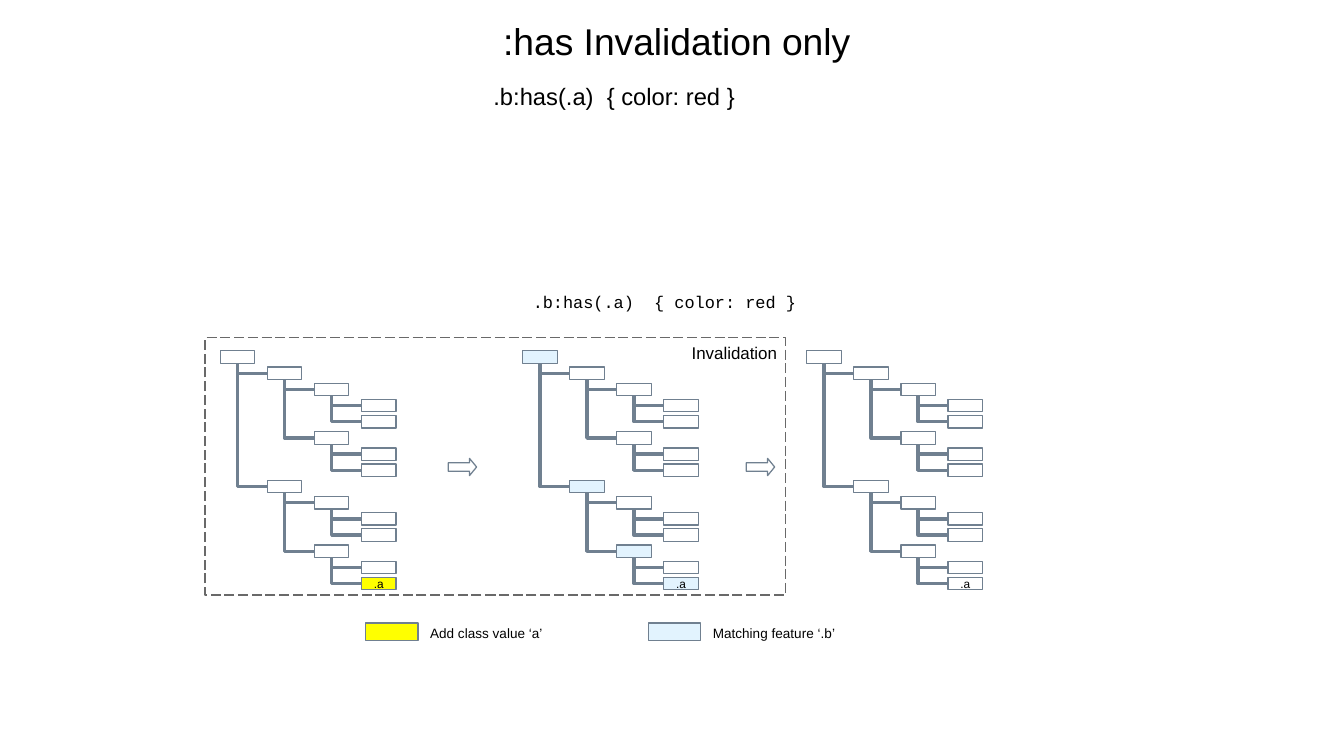
from lxml import etree
from pptx import Presentation
from pptx import util as u
from pptx.dml import color as colors
from pptx.enum import dml, shapes, text
from pptx.oxml import ns

WHITE, BLACK, SLATE, GREY = "FFFFFF", "000000", "708090", "696969"
YELLOW, PALE_BLUE = "FFFF00", "E2F3FE"
RULE = ".b:has(.a)  { color: red }"
# Depth of every tree node, from top to bottom
DEPTHS = [0, 1, 2, 3, 3, 2, 3, 3, 1, 2, 3, 3, 2, 3, 3]
LAST = len(DEPTHS) - 1
NODE_WIDTH, NODE_HEIGHT, INDENT = 0.72, 0.26, 0.98
TREE_TOP, TREE_HEIGHT = 7.31, 4.98
# Left edge of each tree and the fills of its highlighted nodes
TREES = [
    (4.59, {LAST: YELLOW}),
    (10.89, dict.fromkeys([0, 8, 12, LAST], PALE_BLUE)),
    (16.81, {}),
]


def rgb(value):
    return colors.RGBColor.from_string(value)


def set_all(target, values):
    for name, value in values.items():
        setattr(target, name, value)


def write(shape, words, size, align="LEFT", anchor="MIDDLE", font="Arial", wrap=False):
    frame = shape.text_frame
    set_all(frame, {
        "word_wrap": wrap,
        "auto_size": text.MSO_AUTO_SIZE.NONE,
        "vertical_anchor": getattr(text.MSO_ANCHOR, anchor),
        "margin_left": u.Cm(0.25), "margin_right": u.Cm(0.25),
        "margin_top": u.Cm(0.13), "margin_bottom": u.Cm(0.13),
    })
    paragraph = frame.paragraphs[0]
    paragraph.text = words
    paragraph.alignment = getattr(text.PP_ALIGN, align)
    set_all(paragraph.font, {"name": font, "size": u.Pt(size)})
    paragraph.font.color.rgb = rgb(BLACK)


def add_label(slide, box, words, size, **layout):
    label = slide.shapes.add_textbox(*map(u.Cm, box))
    write(label, words, size, **layout)


def add_outlined(slide, kind, box, fill=WHITE, line=SLATE):
    shape = slide.shapes.add_shape(kind, *map(u.Cm, box))
    shape.shadow.inherit = False
    if fill:
        shape.fill.solid()
        shape.fill.fore_color.rgb = rgb(fill)
    else:
        shape.fill.background()
    shape.line.color.rgb = rgb(line)
    shape.line.width = u.Pt(0)
    return shape


def add_branch(slide, start, end):
    """Draw an elbow that runs down from start, then right to end."""
    (x1, y1), (x2, y2) = start, end
    center_x, center_y = (x1 + x2) / 2, (y1 + y2) / 2
    half_width, half_height = (y2 - y1) / 2, (x2 - x1) / 2
    branch = slide.shapes.add_connector(
        shapes.MSO_CONNECTOR.ELBOW,
        u.Cm(center_x - half_width), u.Cm(center_y - half_height),
        u.Cm(center_x + half_width), u.Cm(center_y + half_height))
    branch.line.color.rgb = rgb(SLATE)
    branch.line.width = u.Pt(0)
    properties = branch._element.spPr
    properties.find(ns.qn("a:prstGeom")).set("prst", "bentConnector2")
    transform = properties.find(ns.qn("a:xfrm"))
    transform.set("rot", "16200000")
    transform.set("flipH", "1")
    etree.SubElement(properties, ns.qn("a:effectLst"))


def add_tree(slide, left, top, height, fills):
    step = (height - NODE_HEIGHT) / LAST
    parents = {}
    for row, depth in enumerate(DEPTHS):
        x, y = left + depth * INDENT, top + row * step
        node = add_outlined(slide, shapes.MSO_SHAPE.RECTANGLE,
                            (x, y, NODE_WIDTH, NODE_HEIGHT), fills.get(row, WHITE))
        if row == LAST:
            write(node, ".a", 7, align="CENTER")
        if depth:
            add_branch(slide, parents[depth - 1], (x, y + NODE_HEIGHT / 2))
        parents[depth] = (x + NODE_WIDTH / 2, y + NODE_HEIGHT)


def add_step_arrow(slide, left, top):
    arrow = add_outlined(slide, shapes.MSO_SHAPE.RIGHT_ARROW, (left, top, 0.59, 0.36))
    arrow.adjustments[1] = 0.41


def add_invalidation_frame(slide, left, top, width, height):
    frame = add_outlined(slide, shapes.MSO_SHAPE.RECTANGLE,
                         (left, top, width, height), None, GREY)
    frame.line.dash_style = dml.MSO_LINE.LONG_DASH
    add_label(slide, (left + width - 2.2, top - 0.08, 2.4, 0.79), "Invalidation", 10)


def add_legend_entry(slide, left, top, fill, words):
    add_outlined(slide, shapes.MSO_SHAPE.RECTANGLE, (left, top, 1.09, 0.36), fill)
    add_label(slide, (left + 1.09, top - 0.08, 3.2, 0.56), words, 8,
              anchor="TOP", wrap=True)


def add_title(slide, left, top, width, height):
    title = slide.shapes.title
    set_all(title, {"left": u.Cm(left), "top": u.Cm(top),
                    "width": u.Cm(width), "height": u.Cm(height)})
    write(title, ":has Invalidation only", 22, align="CENTER", anchor="TOP", wrap=True)


def main():
    presentation = Presentation()
    presentation.slide_width, presentation.slide_height = u.Cm(28), u.Cm(15.75)
    slide = presentation.slides.add_slide(presentation.slide_layouts[5])
    add_title(slide, 0.1, 0.25, 28, 2.77)
    add_label(slide, (10.03, 1.6, 5.66, 0.79), RULE, 14)
    add_label(slide, (10.85, 5.89, 5.66, 0.79), RULE, 10, font="Courier New")
    for left, fills in TREES:
        add_tree(slide, left, TREE_TOP, TREE_HEIGHT, fills)
    for left in (9.34, 15.55):
        add_step_arrow(slide, left, 9.55)
    add_invalidation_frame(slide, 4.27, 7.04, 12.09, 5.36)
    add_legend_entry(slide, 7.62, 12.98, YELLOW, "Add class value ‘a’")
    add_legend_entry(slide, 13.51, 12.98, PALE_BLUE, "Matching feature ‘.b’")
    presentation.save("out.pptx")


if __name__ == "__main__":
    main()
